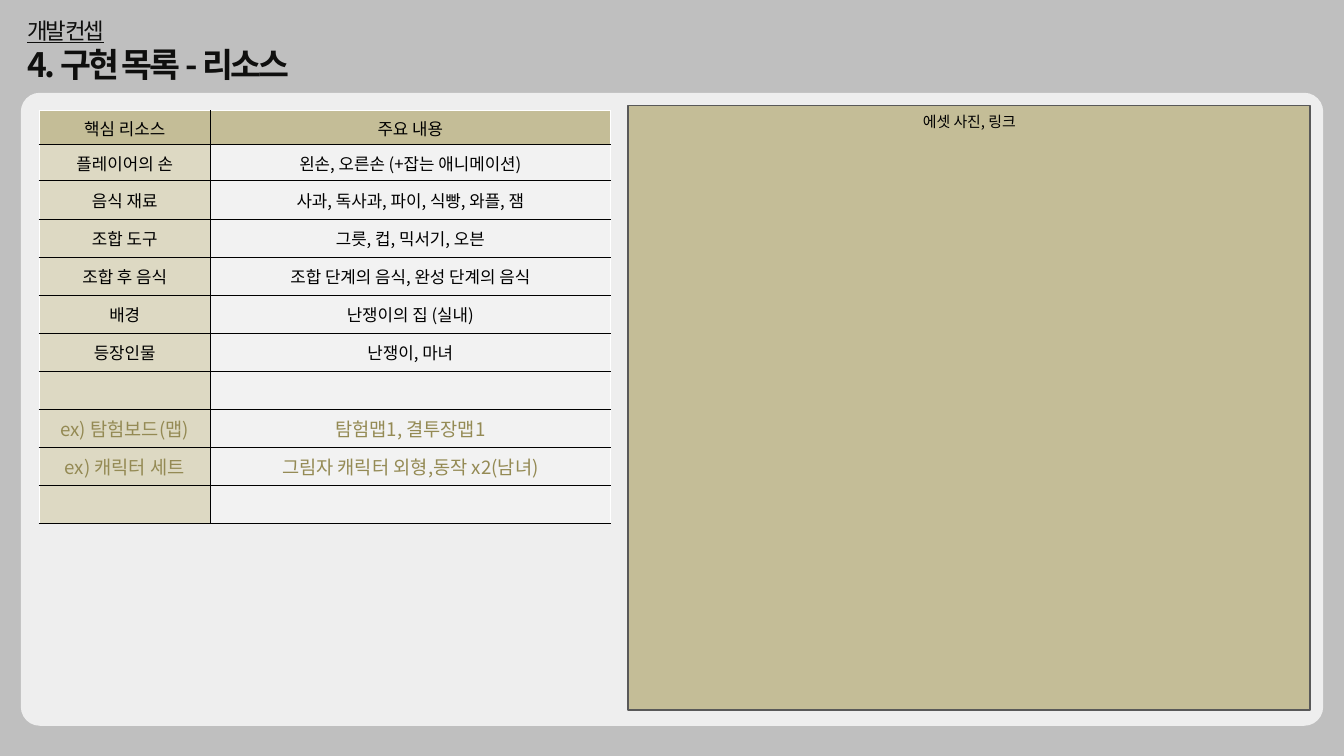
import pptx
import pptx.dml.color
import pptx.enum.shapes
import pptx.enum.text
import pptx.oxml.ns
import pptx.util
from lxml import etree

Pt = pptx.util.Pt
RGBColor = pptx.dml.color.RGBColor
PP_ALIGN = pptx.enum.text.PP_ALIGN
MSO_ANCHOR = pptx.enum.text.MSO_ANCHOR
MSO_SHAPE = pptx.enum.shapes.MSO_SHAPE
qn = pptx.oxml.ns.qn

FONT = "Noto Sans CJK KR"
BACKDROP = RGBColor(0xBF, 0xBF, 0xBF)
PANEL = RGBColor(0xEE, 0xEE, 0xEE)
TITLE_INK = RGBColor(0x0F, 0x0F, 0x0E)
BLACK = RGBColor(0, 0, 0)
WHITE = RGBColor(0xFF, 0xFF, 0xFF)
KHAKI = RGBColor(0xC4, 0xBD, 0x97)
PALE_KHAKI = RGBColor(0xDD, 0xD9, 0xC3)
CELL_GRAY = RGBColor(0xF2, 0xF2, 0xF2)
EXAMPLE_INK = RGBColor(0x94, 0x8A, 0x54)
FRAME = RGBColor(0x59, 0x59, 0x59)

RESOURCES = [
    ("핵심 리소스", "주요 내용"),
    ("플레이어의 손", "왼손, 오른손 (+잡는 애니메이션)"),
    ("음식 재료", "사과, 독사과, 파이, 식빵, 와플, 잼"),
    ("조합 도구", "그릇, 컵, 믹서기, 오븐"),
    ("조합 후 음식", "조합 단계의 음식, 완성 단계의 음식"),
    ("배경", "난쟁이의 집 (실내)"),
    ("등장인물", "난쟁이, 마녀"),
    ("", ""),
    ("ex) 탐험보드(맵)", "탐험맵1, 결투장맵1"),
    ("ex) 캐릭터 세트", "그림자 캐릭터 외형,동작 x2(남녀)"),
    ("", ""),
]
COLUMN_WIDTHS = [183.6, 428.4]
ROW_HEIGHTS = [36, 39] + [40.8] * 9


def write(paragraph, text, size, color, align=PP_ALIGN.CENTER):
    """Fill a paragraph, with the font set for Latin and Korean alike."""
    paragraph.text = text
    paragraph.alignment = align
    font = paragraph.font
    font.size = Pt(size)
    font.color.rgb = color
    font.name = FONT
    etree.SubElement(font._element, qn("a:ea")).set("typeface", FONT)
    return font


def add_title(slide):
    title = slide.shapes.add_textbox(Pt(22.3), Pt(14.4), Pt(451.4), Pt(80))
    frame = title.text_frame
    frame.word_wrap = True
    frame.vertical_anchor = MSO_ANCHOR.MIDDLE
    section = write(frame.paragraphs[0], "개발 컨셉", 24, TITLE_INK, PP_ALIGN.LEFT)
    section.underline = True
    heading = write(frame.add_paragraph(), "4. 구현 목록 - 리소스", 36, TITLE_INK, PP_ALIGN.LEFT)
    heading.bold = True
    for font in (section, heading):
        font._element.set("spc", "-300")


def add_panel(slide, preset, left, top, width, height, fill):
    panel = slide.shapes.add_shape(preset, Pt(left), Pt(top), Pt(width), Pt(height))
    panel.shadow.inherit = False
    panel.fill.solid()
    panel.fill.fore_color.rgb = fill
    panel.line.fill.background()
    return panel


def add_asset_panel(slide):
    panel = add_panel(slide, MSO_SHAPE.RECTANGLE, 673.2, 113, 730.8, 647.3, KHAKI)
    panel.line.color.rgb = FRAME
    panel.line.width = Pt(2)
    frame = panel.text_frame
    frame.word_wrap = True
    frame.vertical_anchor = MSO_ANCHOR.TOP
    frame.margin_left = frame.margin_right = Pt(7.2)
    frame.margin_top = frame.margin_bottom = Pt(7.2)
    write(frame.paragraphs[0], "에셋 사진, 링크", 16, BLACK)


def set_borders(cell, **colors):
    """Draw 1 pt cell borders, given in the order L, R, T, B."""
    properties = cell._tc.get_or_add_tcPr()
    for index, (side, color) in enumerate(colors.items()):
        border = etree.Element(qn(f"a:ln{side}"), w=str(Pt(1)))
        fill = etree.SubElement(border, qn("a:solidFill"))
        etree.SubElement(fill, qn("a:srgbClr"), val=str(color))
        properties.insert(index, border)


def add_resource_table(slide):
    table = slide.shapes.add_table(
        len(RESOURCES), len(COLUMN_WIDTHS), Pt(41.8), Pt(118.8),
        Pt(sum(COLUMN_WIDTHS)), Pt(sum(ROW_HEIGHTS))).table
    for column, width in zip(table.columns, COLUMN_WIDTHS):
        column.width = Pt(width)
    for row, height in zip(table.rows, ROW_HEIGHTS):
        row.height = Pt(height)
    for r, texts in enumerate(RESOURCES):
        is_header = r == 0
        is_example = texts[0].startswith("ex)")
        for c, text in enumerate(texts):
            cell = table.cell(r, c)
            cell.vertical_anchor = MSO_ANCHOR.MIDDLE
            cell.fill.solid()
            cell.fill.fore_color.rgb = KHAKI if is_header else (PALE_KHAKI, CELL_GRAY)[c]
            set_borders(cell,
                        L=(WHITE, BLACK)[c], R=(BLACK, WHITE)[c],
                        T=WHITE if is_header else BLACK, B=BLACK)
            if text:
                write(cell.text_frame.paragraphs[0], text,
                      20 if is_example else 18,
                      EXAMPLE_INK if is_example else BLACK)


def main():
    deck = pptx.Presentation()
    deck.slide_width, deck.slide_height = Pt(1440), Pt(810)
    slide = deck.slides.add_slide(deck.slide_layouts[6])
    slide.background.fill.solid()
    slide.background.fill.fore_color.rgb = BACKDROP

    add_title(slide)
    content_panel = add_panel(slide, MSO_SHAPE.ROUNDED_RECTANGLE,
                              22.3, 99.4, 1395.4, 678.2, PANEL)
    content_panel.adjustments[0] = 0.03
    add_resource_table(slide)
    add_asset_panel(slide)
    deck.save("out.pptx")


if __name__ == "__main__":
    main()
